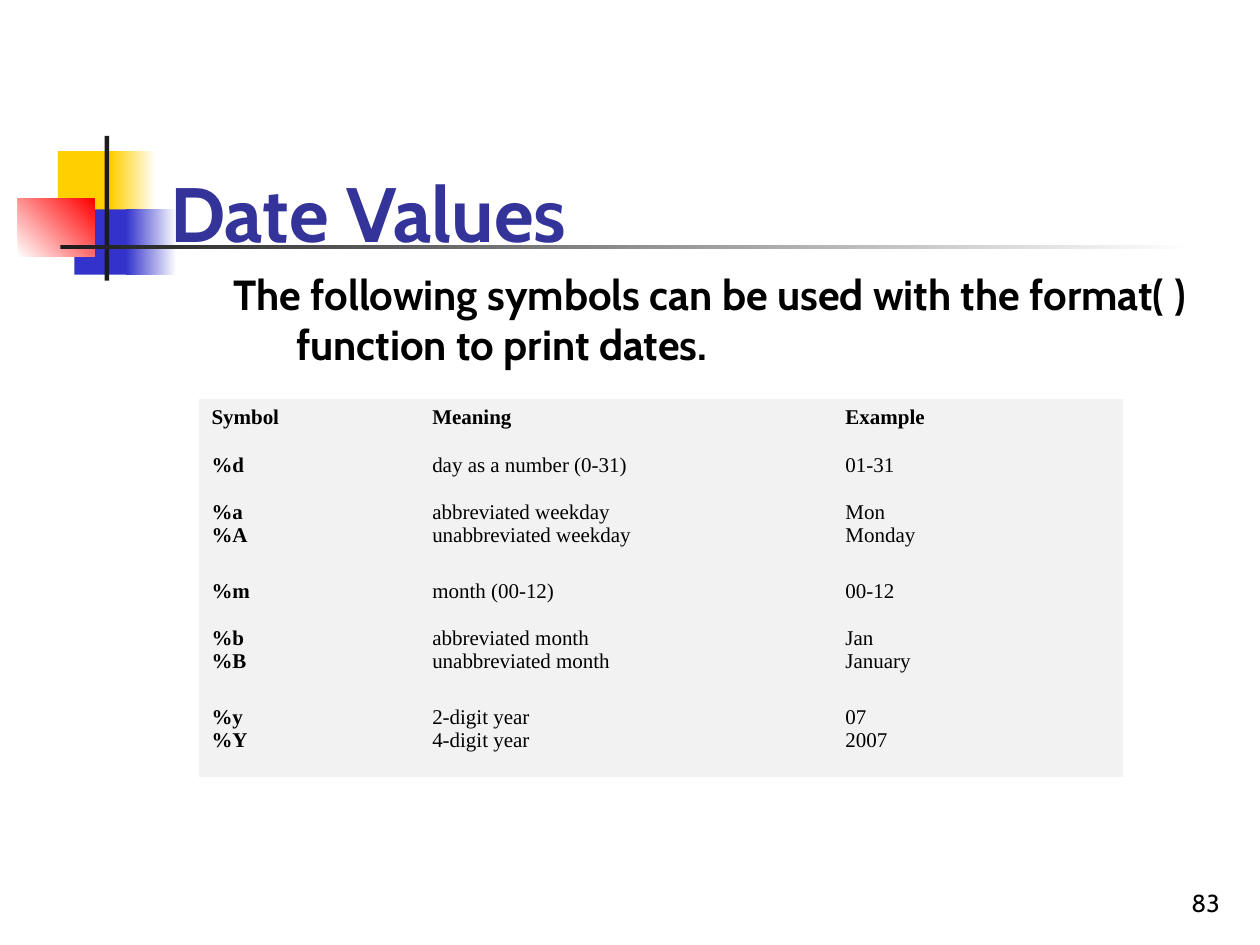
"""Build the Date Values slide with its table of format symbols."""
import dataclasses

import pptx
import pptx.dml.color
import pptx.enum.shapes
import pptx.enum.text
import pptx.util

Cm = pptx.util.Cm
Pt = pptx.util.Pt


@dataclasses.dataclass(frozen=True)
class Theme:
    heading_font: str = "Cabin"
    table_font: str = "Times New Roman"
    title_size: int = 44
    body_size: int = 24
    number_size: int = 14
    table_size: int = 12
    title: str = "333399"
    text: str = "000000"
    yellow: str = "FFCF01"
    blue: str = "3333CC"
    red: str = "FF0000"
    bar: str = "1C1C1C"
    white: str = "FFFFFF"
    cell: str = "F2F2F2"


theme = Theme()
color = pptx.dml.color.RGBColor.from_string
anchors = pptx.enum.text.MSO_ANCHOR
alignments = pptx.enum.text.PP_ALIGN


def add_span(para, text, font, size, ink, bold):
    span = para.add_run()
    span.text = text
    span.font.name = font
    span.font.size = Pt(size)
    span.font.bold = bold
    span.font.color.rgb = color(ink)


def add_text(page, area, text, size, ink, bold, anchor):
    box = page.shapes.add_textbox(*map(Cm, area))
    box.text_frame.word_wrap = True
    box.text_frame.vertical_anchor = anchor
    para = box.text_frame.paragraphs[0]
    add_span(para, text, theme.heading_font, size, ink, bold)
    return para


deck = pptx.Presentation()
deck.slide_width = Cm(25.4)
deck.slide_height = Cm(19.05)
page = deck.slides.add_slide(deck.slide_layouts[6])

ornaments = [
    ((1.17, 3.05, 1.22, 1.32), [theme.yellow], 0),
    ((2.24, 3.05, 0.91, 1.32), [theme.yellow, theme.white], 0),
    ((1.5, 4.22, 1.17, 1.32), [theme.blue], 0),
    ((2.54, 4.22, 1.02, 1.32), [theme.blue, theme.white], 0),
    ((0.36, 4.01, 1.55, 1.17), [theme.white, theme.red], 45),
    ((2.11, 2.74, 0.09, 2.92), [theme.bar], 0),
    ((1.22, 4.94, 22.86, 0.09), [theme.bar, theme.white], 0),
]
for area, colors, angle in ornaments:
    ornament = page.shapes.add_shape(
        pptx.enum.shapes.MSO_SHAPE.RECTANGLE, *map(Cm, area)
    )
    ornament.shadow.inherit = False
    ornament.line.fill.background()
    if len(colors) == 1:
        ornament.fill.solid()
        ornament.fill.fore_color.rgb = color(colors[0])
    else:
        ornament.fill.gradient()
        ornament.fill.gradient_angle = angle
        for stop, shade in zip(ornament.fill.gradient_stops, colors):
            stop.color.rgb = color(shade)

number = add_text(page, (19.56, 17.35, 5.28, 1.27), "83",
                  theme.number_size, theme.text, False, anchors.BOTTOM)
number.alignment = alignments.RIGHT

add_text(page, (3.18, 1.27, 21.64, 4.06), "Date Values",
         theme.title_size, theme.title, True, anchors.BOTTOM)

intro = add_text(
    page, (1.91, 5.28, 23.5, 8.05),
    "The following symbols can be used with the format( ) function to print dates.",
    theme.body_size, theme.text, True, anchors.TOP,
)
intro_properties = intro._p.get_or_add_pPr()
intro_properties.set("marL", str(Cm(3.81)))
intro_properties.set("indent", str(Cm(-1.27)))

rows = [
    (0.97, ["Symbol", "Meaning", "Example"]),
    (0.94, ["%d", "day as a number (0-31)", "01-31"]),
    (1.6, ["%a\n%A", "abbreviated weekday\nunabbreviated weekday", "Mon\nMonday"]),
    (0.94, ["%m", "month (00-12)", "00-12"]),
    (1.6, ["%b\n%B", "abbreviated month\nunabbreviated month", "Jan\nJanuary"]),
    (1.57, ["%y\n%Y", "2-digit year\n4-digit year", "07\n2007"]),
]
widths = [4.45, 8.33, 5.84]
table = page.shapes.add_table(
    len(rows), len(widths), Cm(4.01), Cm(8.05),
    Cm(sum(widths)), Cm(sum(height for height, _ in rows)),
).table
table.first_row = False
table.horz_banding = False
table._tbl.tblPr[0].text = "{2D5ABB26-0587-4C30-8999-92F81FD0307C}"
for column, width in zip(table.columns, widths):
    column.width = Cm(width)

for row_index, (height, texts) in enumerate(rows):
    table.rows[row_index].height = Cm(height)
    for column_index, text in enumerate(texts):
        cell = table.cell(row_index, column_index)
        cell.fill.solid()
        cell.fill.fore_color.rgb = color(theme.cell)
        para = cell.text_frame.paragraphs[0]
        bold = row_index == 0 or column_index == 0
        for line_index, line in enumerate(text.split("\n")):
            if line_index:
                para.add_line_break()
            add_span(para, line, theme.table_font, theme.table_size, theme.text, bold)

deck.save("out.pptx")
